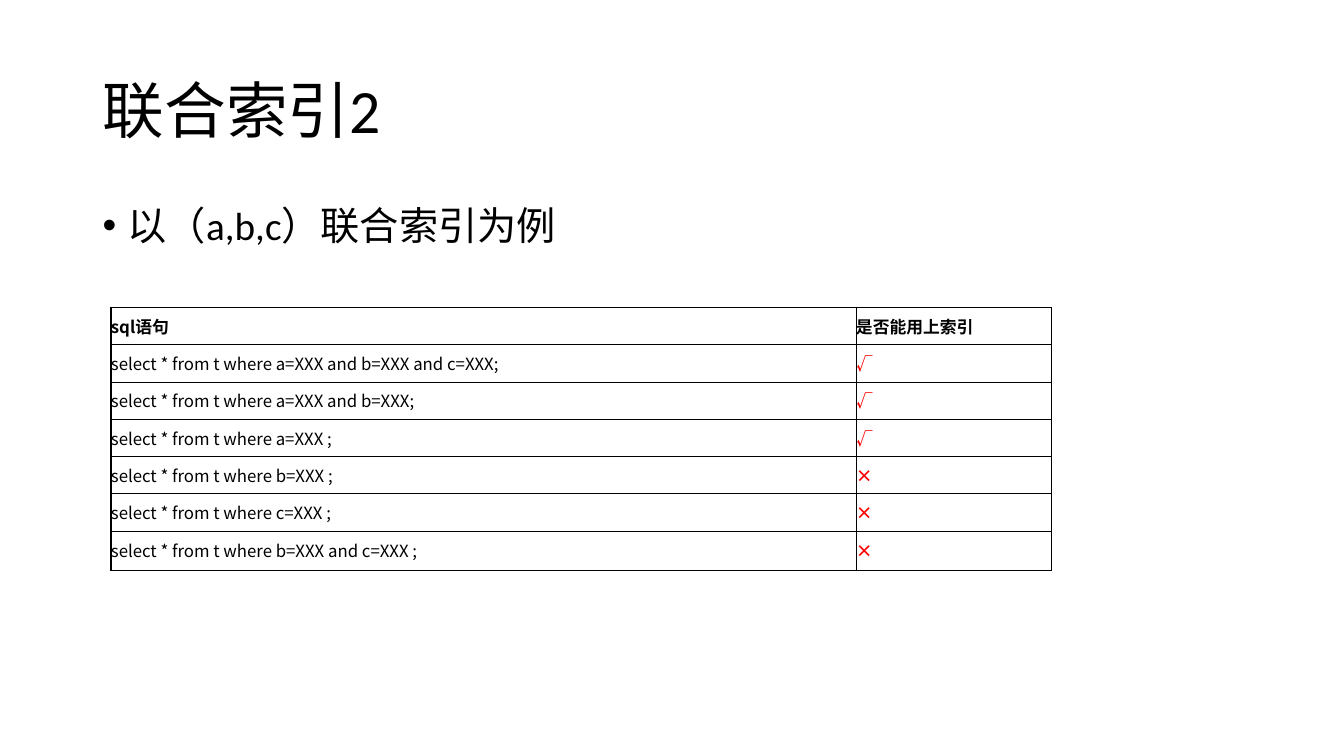
from dataclasses import dataclass

from lxml import etree
from pptx import Presentation
from pptx.dml.color import RGBColor
from pptx.enum import lang, text
from pptx.oxml import ns
from pptx.util import Inches, Pt

BLACK, RED = "000000", "FF0000"
SANS = "Noto Sans CJK SC"
THIN, THICK = 0.5, 1.2


@dataclass
class Query:
    sql: str
    mark: str


QUERIES = [
    Query("select * from t where a=XXX and b=XXX and c=XXX;", "√"),
    Query("select * from t where a=XXX and b=XXX;", "√"),
    Query("select * from t where a=XXX ;", "√"),
    Query("select * from t where b=XXX ;", "×"),
    Query("select * from t where c=XXX ;", "×"),
    Query("select * from t where b=XXX and c=XXX ;", "×"),
]


def color(value: str) -> RGBColor:
    return RGBColor.from_string(value)


def add_run(para, words: str, size: float, face: str = "Calibri",
            tint: str = BLACK, bold: bool = False) -> None:
    run = para.add_run()
    run.text = words
    font = run.font
    font.size, font.name, font.bold = Pt(size), face, bold
    font.color.rgb = color(tint)
    font.language_id = lang.MSO_LANGUAGE_ID.SIMPLIFIED_CHINESE
    east = etree.SubElement(font._element, ns.qn("a:ea"))
    east.set("typeface", SANS)


def place(shape, left: float, top: float, width: float, height: float) -> None:
    shape.left, shape.top = Inches(left), Inches(top)
    shape.width, shape.height = Inches(width), Inches(height)


def add_title(slide) -> None:
    title = slide.shapes.title
    place(title, 0.92, 0.4, 11.5, 1.45)
    frame = title.text_frame
    frame.auto_size = text.MSO_AUTO_SIZE.NONE
    frame.vertical_anchor = text.MSO_ANCHOR.MIDDLE
    para = frame.paragraphs[0]
    para.alignment = text.PP_ALIGN.LEFT
    para.line_spacing = 0.9
    add_run(para, "联合索引2", 44)


def add_point(slide) -> None:
    box = slide.shapes.add_textbox(Inches(0.92), Inches(2), Inches(11.5), Inches(4.76))
    frame = box.text_frame
    frame.word_wrap = True
    para = frame.paragraphs[0]
    para.line_spacing = 0.9
    para.space_before = Pt(10)
    props = para._p.get_or_add_pPr()
    props.set("marL", str(Inches(0.25)))
    props.set("indent", str(-Inches(0.25)))
    face = etree.SubElement(props, ns.qn("a:buFont"))
    face.set("typeface", "Arial")
    bullet = etree.SubElement(props, ns.qn("a:buChar"))
    bullet.set("char", "•")
    add_run(para, "以（a,b,c）联合索引为例", 28)


def add_edges(cell, edges: dict[str, float]) -> None:
    """Draw the cell borders; edges maps side letters to points."""
    props = cell._tc.get_or_add_tcPr()
    for side, width in edges.items():
        line = etree.SubElement(props, ns.qn(f"a:ln{side}"))
        line.set("w", str(Pt(width)))
        fill = etree.SubElement(line, ns.qn("a:solidFill"))
        etree.SubElement(fill, ns.qn("a:srgbClr")).set("val", BLACK)


def fill_cell(cell, words: str, tint: str, bold: bool, edges: dict[str, float]) -> None:
    cell.margin_left = cell.margin_right = cell.margin_top = cell.margin_bottom = 0
    cell.vertical_anchor = text.MSO_ANCHOR.MIDDLE
    add_edges(cell, edges)
    cell.fill.background()
    add_run(cell.text_frame.paragraphs[0], words, 12, SANS, tint, bold)


def add_grid(slide) -> None:
    rows = [Query("sql语句", "是否能用上索引"), *QUERIES]
    last = len(rows) - 1
    grid = slide.shapes.add_table(
        len(rows), 2, Inches(1.1), Inches(3.05), Inches(9.33), Inches(2.61)).table
    grid.first_row = grid.horz_banding = False
    for col, width in zip(grid.columns, (7.39, 1.94)):
        col.width = Inches(width)
    for r, row in enumerate(rows):
        grid.rows[r].height = Inches(0.39 if r == last else 0.37)
        for c, words in enumerate((row.sql, row.mark)):
            edges = {
                "L": THICK if c == 0 else THIN,
                "R": THICK if c == 1 else THIN,
                "T": THICK if r == 0 else THIN,
                "B": THICK if r == last else THIN,
            }
            tint = RED if r and c else BLACK
            fill_cell(grid.cell(r, c), words, tint, r == 0 or c == 1, edges)


def main() -> None:
    deck = Presentation()
    deck.slide_width, deck.slide_height = Inches(13.33), Inches(7.5)
    slide = deck.slides.add_slide(deck.slide_layouts[5])
    add_title(slide)
    add_point(slide)
    add_grid(slide)
    deck.save("out.pptx")


if __name__ == "__main__":
    main()
